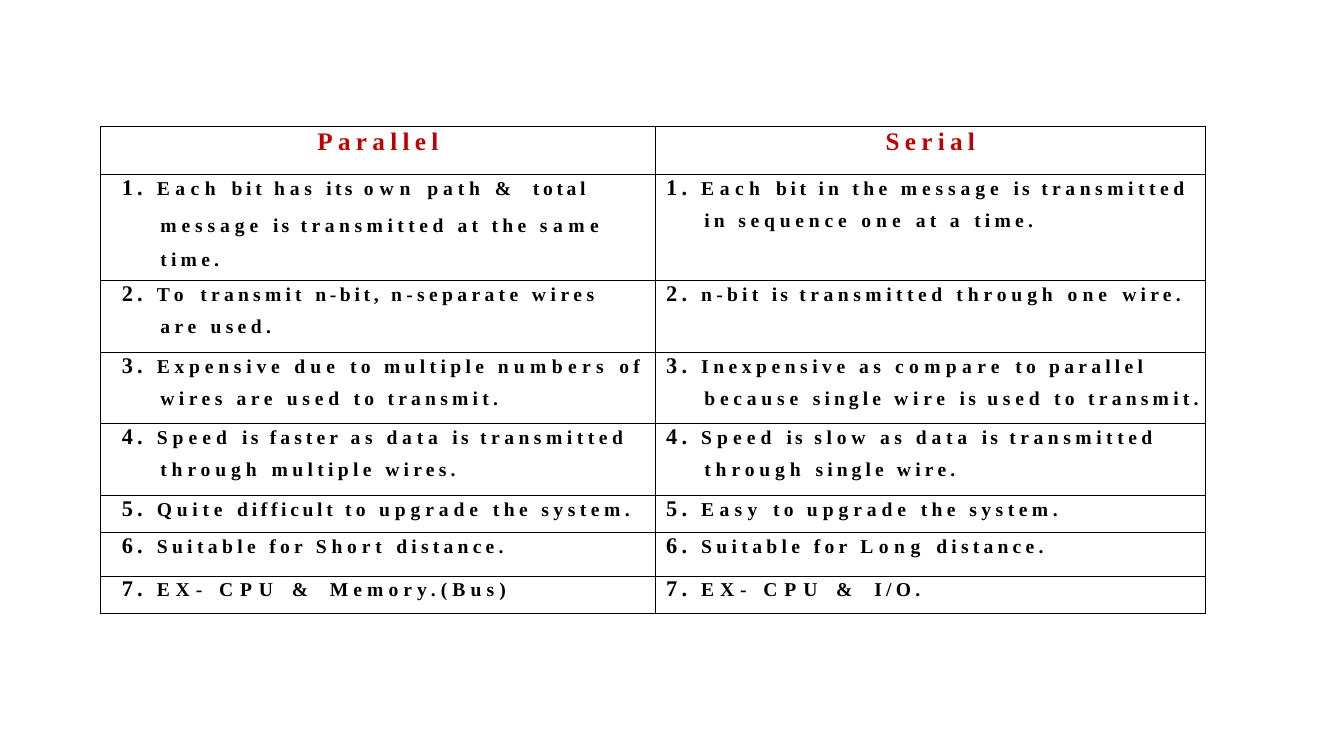
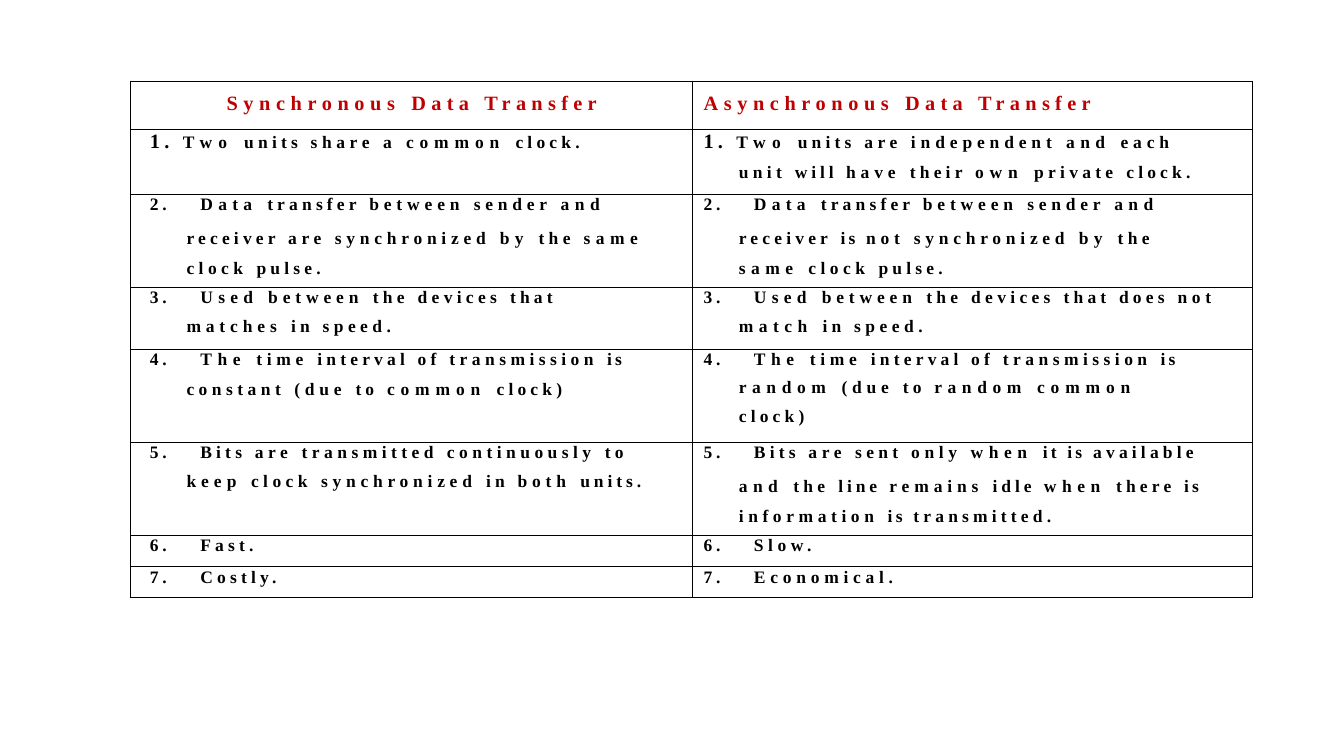
from lxml.etree import SubElement
from pptx import Presentation
from pptx.dml.color import RGBColor
from pptx.enum.text import PP_ALIGN
from pptx.oxml import parse_xml
from pptx.oxml.ns import qn
from pptx.util import Cm, Pt

# Shared look
COLORS = {"heading": "C00000", "text": "000000", "border": "000000"}
FONT = "Times New Roman"
NAMESPACE = "http://schemas.openxmlformats.org/drawingml/2006/main"
BORDERS = (("lnL", 0.75), ("lnR", 0.75), ("lnT", 0.5), ("lnB", 0.5))

# Letter spacing in points, by word; other words take the default
DEFAULT_SPACING = 3
SPACING_WORDS = {
    2.3: "its is it",
    2.6: "total difficult bit n-bit,",
    2.8: "will line idle units.",
    2.9: "faster single",
    3.1: "the n-separate multiple Suitable used. devices private sent unit",
    3.2: "transmitted transmission wires Inexpensive as system. constant "
         "continuously speed. clock",
    3.3: "are share only Slow. information",
    3.4: "has sequence Expensive used wire Quite Short slow data sender "
         "synchronized not time because (due Economical.",
    3.5: "path message a through between independent each matches have both "
         "remains upgrade",
    3.6: "one due Speed Memory.(Bus) keep",
    3.8: "numbers compare by Used Transfer Parallel Serial Easy Data",
    3.9: "Each same and match Long",
    4: "The random when Synchronous Asynchronous",
    4.2: "own To EX- common",
    4.5: "Two",
    4.9: "CPU",
    6: "&",
}
SPACING = {word: points for points, words in SPACING_WORDS.items()
           for word in words.split()}

# Content: the first line of a cell carries the number, the rest hang below
COMPARISONS = [
    {
        "origin": (2.54, 3.18),
        "columns": (13.97, 13.87),
        "heights": (1.22, 2.67, 1.8, 1.8, 1.8, 0.94, 1.1, 0.94),
        "headings": ("Parallel", "Serial"),
        "heading": {"size": 18, "leading": 20.9, "top": 0,
                    "align": (PP_ALIGN.CENTER, PP_ALIGN.CENTER), "left": (0, 0)},
        "number_left": (0.53, 0.28),
        "text_left": (1.5, 1.24),
        "size": 14, "number_size": 16, "leading": 18.6,
        "wrapped": (24.3, 1.6), "wrapped_exceptions": {},
        "tabbed_from": None,
        "rows": [
            ("Each bit has its own path & total\n"
             "message is transmitted at the same\ntime.",
             "Each bit in the message is transmitted\nin sequence one at a time."),
            ("To transmit n-bit, n-separate wires\nare used.",
             "n-bit is transmitted through one wire."),
            ("Expensive due to multiple numbers of\nwires are used to transmit.",
             "Inexpensive as compare to parallel\n"
             "because single wire is used to transmit."),
            ("Speed is faster as data is transmitted\nthrough multiple wires.",
             "Speed is slow as data is transmitted\nthrough single wire."),
            ("Quite difficult to upgrade the system.", "Easy to upgrade the system."),
            ("Suitable for Short distance.", "Suitable for Long distance."),
            ("EX- CPU & Memory.(Bus)", "EX- CPU & I/O."),
        ],
    },
    {
        "origin": (3.3, 2.04),
        "columns": (14.15, 14.12),
        "heights": (1.22, 1.63, 2.34, 1.57, 2.34, 2.34, 0.79, 0.79),
        "headings": ("Synchronous Data Transfer", "Asynchronous Data Transfer"),
        "heading": {"size": 14.5, "leading": None, "top": 0.28,
                    "align": (PP_ALIGN.CENTER, PP_ALIGN.LEFT), "left": (0, 0.28)},
        "number_left": (0.48, 0.28),
        "text_left": (1.4, 1.17),
        "size": 12.5, "number_size": 14.5, "leading": 14.6,
        "wrapped": (21.9, 1.9), "wrapped_exceptions": {(4, 1): (20, 0)},
        "tabbed_from": 2,
        "rows": [
            ("Two units share a common clock.",
             "Two units are independent and each\n"
             "unit will have their own private clock."),
            ("Data transfer between sender and\n"
             "receiver are synchronized by the same\nclock pulse.",
             "Data transfer between sender and\n"
             "receiver is not synchronized by the\nsame clock pulse."),
            ("Used between the devices that\nmatches in speed.",
             "Used between the devices that does not\nmatch in speed."),
            ("The time interval of transmission is\nconstant (due to common clock)",
             "The time interval of transmission is\n"
             "random (due to random common\nclock)"),
            ("Bits are transmitted continuously to\n"
             "keep clock synchronized in both units.",
             "Bits are sent only when it is available\n"
             "and the line remains idle when there is\ninformation is transmitted."),
            ("Fast.", "Slow."),
            ("Costly.", "Economical."),
        ],
    },
]


def add_run(paragraph, text, size, color, spacing):
    run = paragraph.add_run()
    run.text = text
    run.font.name = FONT
    run.font.size = Pt(size)
    run.font.bold = True
    run.font.color.rgb = RGBColor.from_string(COLORS[color])
    run.font._element.set("spc", str(round(spacing * 100)))


def add_words(paragraph, line, size, color="text"):
    words = line.split()
    for position, word in enumerate(words, 1):
        gap = " " if position < len(words) else ""
        add_run(paragraph, word + gap, size, color,
                SPACING.get(word, DEFAULT_SPACING))


def set_paragraph(paragraph, left, leading=None, before=0):
    paragraph.space_before = Pt(before)
    if leading:
        paragraph.line_spacing = Pt(leading)
    properties = paragraph._p.get_or_add_pPr()
    properties.set("marL", str(Cm(left)))
    properties.set("indent", "0")
    return properties


def style_cell(cell, top=0):
    cell.margin_left = cell.margin_right = cell.margin_bottom = 0
    cell.margin_top = Cm(top)
    cell.fill.background()
    properties = cell._tc.get_or_add_tcPr()
    for position, (edge, width) in enumerate(BORDERS):
        properties.insert(position, parse_xml(
            f'<a:{edge} xmlns:a="{NAMESPACE}" w="{Pt(width)}"><a:solidFill>'
            f'<a:srgbClr val="{COLORS["border"]}"/></a:solidFill></a:{edge}>'))


def fill_heading(cell, comparison, column):
    heading = comparison["heading"]
    style_cell(cell, heading["top"])
    paragraph = cell.text_frame.paragraphs[0]
    set_paragraph(paragraph, heading["left"][column], heading["leading"])
    paragraph.alignment = heading["align"][column]
    add_words(paragraph, comparison["headings"][column], heading["size"], "heading")


def fill_point(cell, comparison, number, column, text):
    style_cell(cell)
    size, text_left = comparison["size"], comparison["text_left"][column]
    first, *rest = text.split("\n")
    tabbed = comparison["tabbed_from"] and number >= comparison["tabbed_from"]

    # Numbered line
    paragraph = cell.text_frame.paragraphs[0]
    leading = comparison["leading"]
    if comparison["tabbed_from"] and not tabbed:
        leading = 16.9
    properties = set_paragraph(paragraph, comparison["number_left"][column], leading)
    if tabbed:
        stops = SubElement(properties, qn("a:tabLst"))
        SubElement(stops, qn("a:tab"), pos=str(Cm(text_left)), algn="l")
        add_run(paragraph, f"{number}.\t", size, "text", 2.7)
    else:
        add_run(paragraph, f"{number}. ", comparison["number_size"], "text", 3)
    add_words(paragraph, first, size)

    # Lines below it
    if rest:
        paragraph = cell.text_frame.add_paragraph()
        leading, before = None, 7
        if len(rest) > 1:
            leading, before = comparison["wrapped_exceptions"].get(
                (number, column), comparison["wrapped"])
        set_paragraph(paragraph, text_left, leading, before)
        for position, line in enumerate(rest):
            if position:
                paragraph.add_line_break()
            add_words(paragraph, line, size)


def add_comparison(slide, comparison):
    columns, heights = comparison["columns"], comparison["heights"]
    left, top = comparison["origin"]
    table = slide.shapes.add_table(
        len(heights), len(columns), Cm(left), Cm(top),
        Cm(sum(columns)), Cm(sum(heights))).table
    table.first_row = table.horz_banding = False
    for column, width in zip(table.columns, columns):
        column.width = Cm(width)
    for row, height in zip(table.rows, heights):
        row.height = Cm(height)
    for column in range(len(columns)):
        fill_heading(table.cell(0, column), comparison, column)
        for number, texts in enumerate(comparison["rows"], 1):
            fill_point(table.cell(number, column), comparison, number, column,
                       texts[column])


def main():
    presentation = Presentation()
    presentation.slide_width, presentation.slide_height = Cm(33.87), Cm(19.05)
    for comparison in COMPARISONS:
        slide = presentation.slides.add_slide(presentation.slide_layouts[6])
        add_comparison(slide, comparison)
    presentation.save("out.pptx")


if __name__ == "__main__":
    main()
